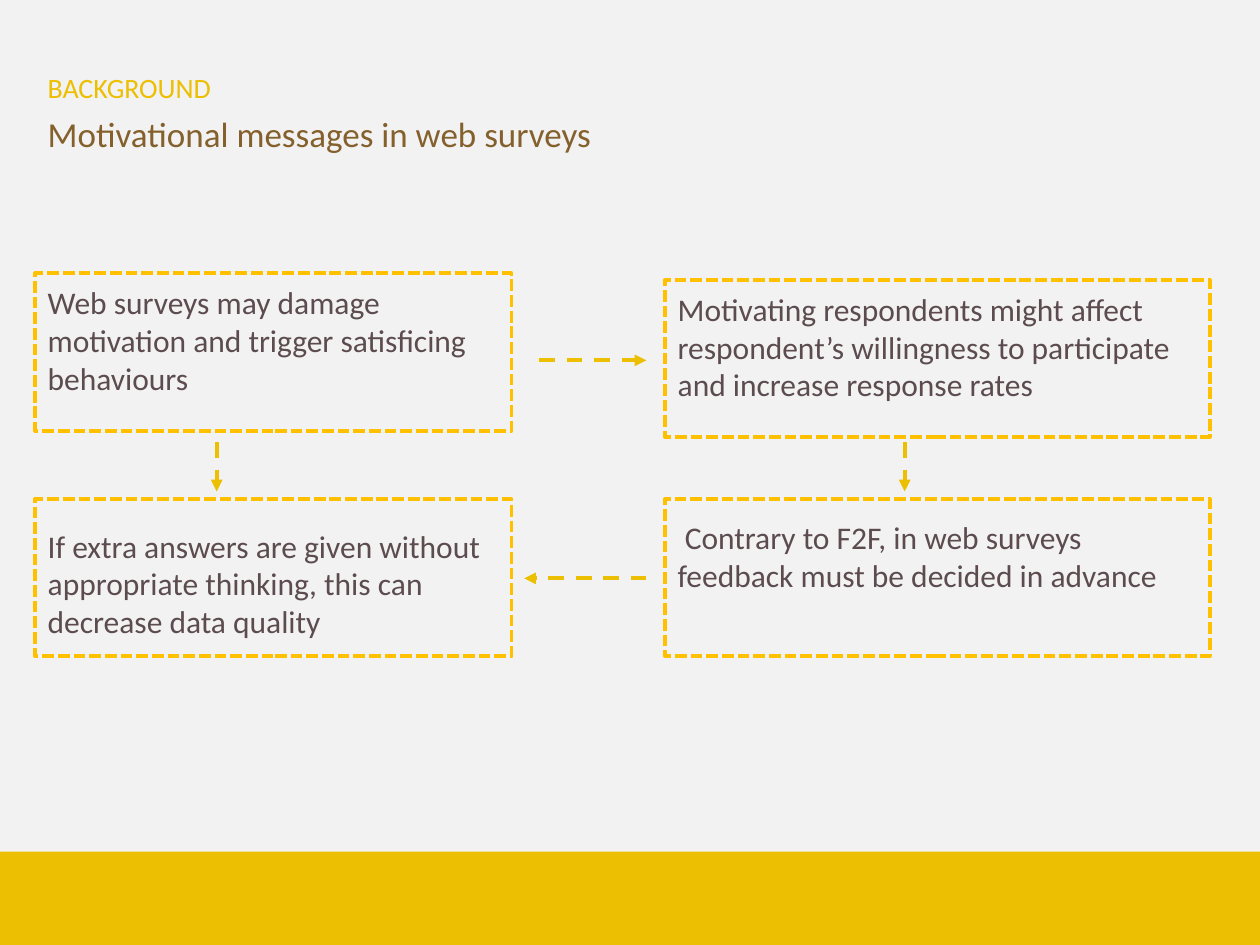
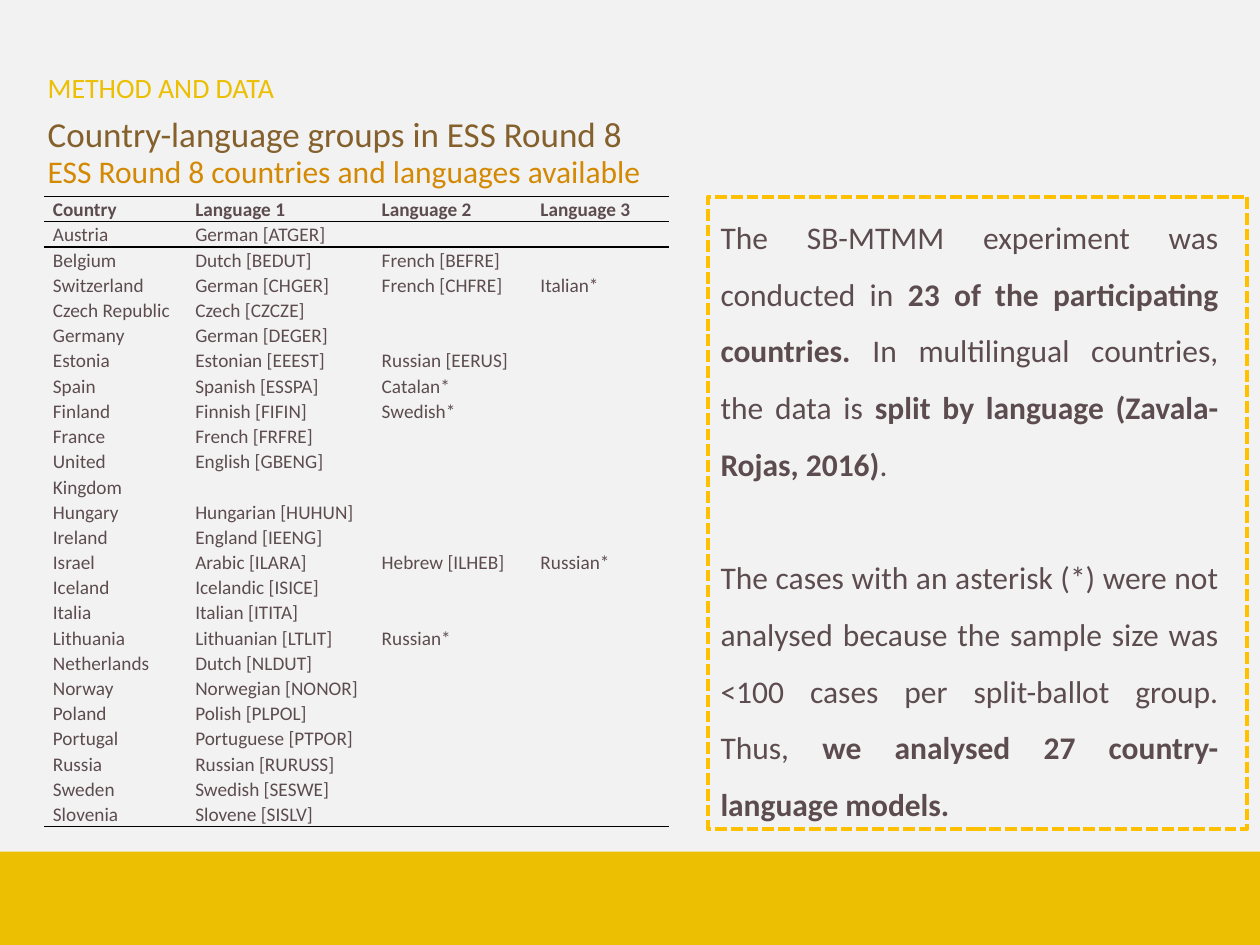
from lxml import etree
from pptx import Presentation
from pptx import util as u
from pptx.dml.color import RGBColor
from pptx.enum import dml, shapes, text
from pptx.oxml.ns import qn

# Slide size and a grid of 100 columns by 75 rows
W, H = u.Inches(10), u.Inches(7.5)
COLS, ROWS = 100, 75
FONT = "Calibri"
PAPER, GOLD, AMBER = "F2F2F2", "ECBF02", "FFC000"
BROWN, ORANGE, INK, BLACK = "84602C", "D38903", "5C4C4F", "000000"
NO_STYLE = "{2D5ABB26-0587-4C30-8999-92F81FD0307C}"
MARGIN = 2.8

LANGUAGES = [
    ("Country", "Language 1", "Language 2", "Language 3"),
    ("Austria", "German [ATGER]"),
    ("Belgium", "Dutch [BEDUT]", "French [BEFRE]"),
    ("Switzerland", "German [CHGER]", "French [CHFRE]", "Italian*"),
    ("Czech Republic", "Czech [CZCZE]"),
    ("Germany", "German [DEGER]"),
    ("Estonia", "Estonian [EEEST]", "Russian [EERUS]"),
    ("Spain", "Spanish [ESSPA]", "Catalan*"),
    ("Finland", "Finnish [FIFIN]", "Swedish*"),
    ("France", "French [FRFRE]"),
    ("United Kingdom", "English [GBENG]"),
    ("Hungary", "Hungarian [HUHUN]"),
    ("Ireland", "England [IEENG]"),
    ("Israel", "Arabic [ILARA]", "Hebrew [ILHEB]", "Russian*"),
    ("Iceland", "Icelandic [ISICE]"),
    ("Italia", "Italian [ITITA]"),
    ("Lithuania", "Lithuanian [LTLIT]", "Russian*"),
    ("Netherlands", "Dutch [NLDUT]"),
    ("Norway", "Norwegian [NONOR]"),
    ("Poland", "Polish [PLPOL]"),
    ("Portugal", "Portuguese [PTPOR]"),
    ("Russia", "Russian [RURUSS]"),
    ("Sweden", "Swedish [SESWE]"),
    ("Slovenia", "Slovene [SISLV]"),
]


def col(n):
    return int(W * n / COLS)


def row(n):
    return int(H * n / ROWS)


def area(x, y, w, h):
    return col(x), row(y), col(w), row(h)


def paint(target, color):
    """Give a fill, line fill or font a solid colour."""
    if hasattr(target, "solid"):
        target.solid()
        target.fore_color.rgb = RGBColor.from_string(color)
    else:
        target.color.rgb = RGBColor.from_string(color)


def add_run(p, words, size, color, bold=False):
    r = p.add_run()
    r.text = words
    r.font.name, r.font.size, r.font.bold = FONT, u.Pt(size), bold
    paint(r.font, color)


def add_text(s, place, paragraphs, size, color, justify=False, spacing=None, gap=0):
    """Each paragraph is a list of runs; a run is (words, bold)."""
    tf = s.shapes.add_textbox(*area(*place)).text_frame
    tf.word_wrap = True
    for i, runs in enumerate(paragraphs):
        p = tf.add_paragraph() if i else tf.paragraphs[0]
        if justify:
            p.alignment = text.PP_ALIGN.JUSTIFY
        if spacing:
            p.line_spacing = spacing
        if i:
            p.space_before = u.Pt(gap)
        for words, bold in runs:
            add_run(p, words, size, color, bold)


def add_line_of_text(s, place, words, size, color):
    add_text(s, place, [[(words, False)]], size, color)


def add_rectangle(s, place):
    sp = s.shapes.add_shape(shapes.MSO_SHAPE.RECTANGLE, *area(*place))
    sp.shadow.inherit = False
    return sp


def add_frame(s, place):
    """Dashed outline without a fill."""
    sp = add_rectangle(s, place)
    sp.fill.background()
    paint(sp.line, AMBER)
    sp.line.width = u.Pt(2.25)
    sp.line.dash_style = dml.MSO_LINE.SQUARE_DOT


def add_arrow(s, x1, y1, x2, y2):
    c = s.shapes.add_connector(shapes.MSO_CONNECTOR.STRAIGHT,
                               col(x1), row(y1), col(x2), row(y2))
    paint(c.line, GOLD)
    c.line.width = u.Pt(2.25)
    c.line.dash_style = dml.MSO_LINE.DASH
    etree.SubElement(c.line._get_or_add_ln(), qn("a:tailEnd"), type="triangle")
    etree.SubElement(c._element.spPr, qn("a:effectLst"))


def add_border(cell, side):
    ln = etree.SubElement(cell._tc.get_or_add_tcPr(), qn("a:ln" + side),
                          w=str(u.Pt(1)))
    fill = etree.SubElement(ln, qn("a:solidFill"))
    etree.SubElement(fill, qn("a:srgbClr"), val=BLACK)


def fill_cell(cell, words, bold):
    cell.fill.background()
    cell.margin_left = cell.margin_right = u.Inches(0.07)
    cell.margin_top = cell.margin_bottom = 0
    p = cell.text_frame.paragraphs[0]
    p.alignment = text.PP_ALIGN.JUSTIFY
    p.line_spacing = 1.07
    if words:
        add_run(p, words, 11, INK, bold)
    else:
        etree.SubElement(p._p, qn("a:endParaRPr"), sz="1100")


def add_language_table(s, x, y, widths, row_height):
    n = len(LANGUAGES)
    table = s.shapes.add_table(
        n, len(widths), *area(x, y, sum(widths), row_height * (n + 1))).table
    table.first_row = table.horz_banding = False
    table._tbl.tblPr.find(qn("a:tableStyleId")).text = NO_STYLE
    for column, width in zip(table.columns, widths):
        column.width = col(width)
    for i, entries in enumerate(LANGUAGES):
        lines = 2 if entries[0] == "United Kingdom" else 1
        table.rows[i].height = row(row_height * lines)
        for j in range(len(widths)):
            cell = table.cell(i, j)
            if i == 0:
                add_border(cell, "T")
            if i in (0, 1, n - 1):
                add_border(cell, "B")
            fill_cell(cell, entries[j] if j < len(entries) else "", i == 0)


def add_slide(prs, section, title):
    """Slide with the background, footer band and headings all slides share."""
    s = prs.slides.add_slide(prs.slide_layouts[6])
    paint(s.background.fill, PAPER)
    band = add_rectangle(s, (0, 67.6, COLS, 7.4))
    paint(band.fill, GOLD)
    band.line.fill.background()
    add_line_of_text(s, (MARGIN, 8.4, 64.6, 3.2), title, 20, BROWN)
    add_line_of_text(s, (MARGIN, 5.1, 37.8, 3), section, 16, GOLD)
    return s


def build_background(prs):
    s = add_slide(prs, "BACKGROUND", "Motivational messages in web surveys")

    # Framed statements: left, width, frame top, text offset, words
    left, right = (MARGIN, 37.8), (52.8, 43.2)
    statements = [
        (left, 21.7, 0.3, "Web surveys may damage motivation and trigger "
                          "satisficing behaviours"),
        (right, 22.2, 0.3, "Motivating respondents might affect respondent’s "
                           "willingness to participate and increase response rates"),
        (left, 39.6, 1.7, "If extra answers are given without appropriate "
                          "thinking, this can decrease data quality"),
        (right, 39.6, 1, " Contrary to F2F, in web surveys feedback must be "
                         "decided in advance"),
    ]
    for (x, w), top, offset, words in statements:
        add_line_of_text(s, (x, top + offset, w, 10.1), words, 18, INK)
        add_frame(s, (x, top, w, 12.5))

    # Arrows between the frames
    for x in (17.2, 71.8):
        add_arrow(s, x, 35.1, x, 39)
    add_arrow(s, 42.8, 28.6, 51.3, 28.6)
    add_arrow(s, 51.3, 45.9, 41.6, 45.9)


def build_method(prs):
    s = add_slide(prs, "METHOD AND DATA", "Country-language groups in ESS Round 8")

    # Explanation on the right
    add_text(s, (56.2, 15.3, 41.5, 50.5), [
        [("The SB-MTMM experiment was conducted in ", False),
         ("23 of the participating countries.", True),
         (" In multilingual countries, the data is ", False),
         ("split by language (Zavala-Rojas, 2016)", True),
         (".", False)],
        [("The cases with an asterisk (*) were not analysed because the sample "
          "size was <100 cases per split-ballot group. Thus, ", False),
         ("we analysed 27 country-language models.", True)],
    ], 18, INK, justify=True, spacing=1.5, gap=32.5)

    # Table with its heading
    add_language_table(s, 3.5, 15.6, (11.3, 14.8, 12.6, 10.9), 2)
    add_line_of_text(s, (MARGIN, 11.6, 96, 4),
                     "ESS Round 8 countries and languages available", 18, ORANGE)
    add_frame(s, (56.2, 15.6, 42.8, 50.2))


def main():
    prs = Presentation()
    prs.slide_width, prs.slide_height = W, H
    build_background(prs)
    build_method(prs)
    prs.save("out.pptx")


if __name__ == "__main__":
    main()
